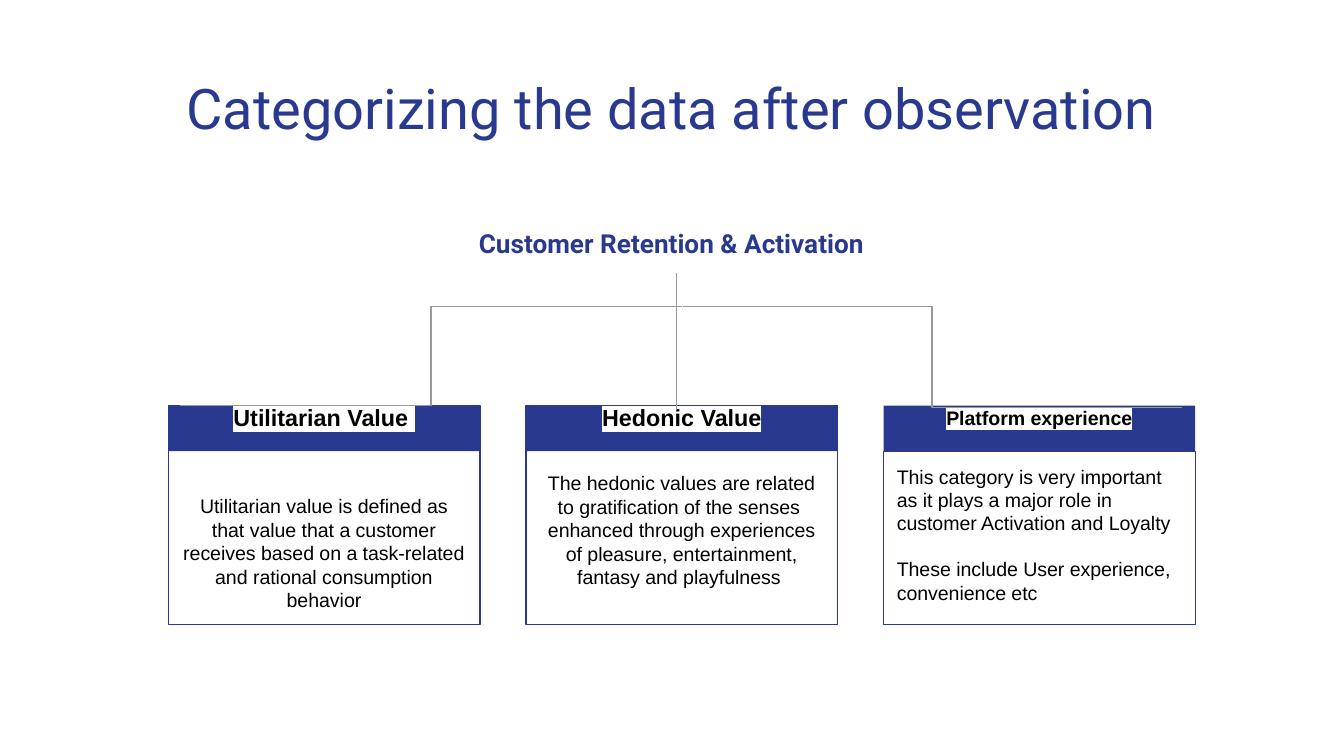
from dataclasses import dataclass

from lxml import etree
from pptx import Presentation
from pptx import util as u
from pptx.dml.color import RGBColor
from pptx.enum import shapes, text
from pptx.oxml.ns import qn


@dataclass(frozen=True)
class Theme:
    blue: str = "2A3990"
    black: str = "000000"
    white: str = "FFFFFF"
    grey: str = "999999"
    heading_font: str = "Roboto"
    body_font: str = "Arial"
    title_size: float = 30
    topic_size: float = 14
    header_size: float = 12.5
    body_size: float = 10.5
    line_width: float = 0.75
    inset: float = 0.25


class SlideBuilder:
    def __init__(self, slide, theme):
        self.slide = slide
        self.theme = theme

    def set_text(self, shape, lines, size, font, color, bold=False,
                 align=text.PP_ALIGN.CENTER, anchor=text.MSO_ANCHOR.TOP,
                 top_inset=None, bottom_inset=None, gap=0, highlight=False):
        frame = shape.text_frame
        frame.word_wrap = True
        frame.auto_size = text.MSO_AUTO_SIZE.NONE
        frame.vertical_anchor = anchor
        inset = self.theme.inset
        frame.margin_left = frame.margin_right = u.Cm(inset)
        frame.margin_top = u.Cm(inset if top_inset is None else top_inset)
        frame.margin_bottom = u.Cm(inset if bottom_inset is None else bottom_inset)
        for index, line in enumerate(lines):
            paragraph = frame.add_paragraph() if index else frame.paragraphs[0]
            run = paragraph.add_run()
            run.text = line
            paragraph.alignment = align
            paragraph.space_before = u.Pt(gap if index else 0)
            paragraph.font.name = font
            paragraph.font.size = u.Pt(size)
            paragraph.font.bold = bold
            paragraph.font.color.rgb = RGBColor.from_string(color)
            if highlight:
                mark = etree.SubElement(run._r.get_or_add_rPr(), qn("a:highlight"))
                etree.SubElement(mark, qn("a:srgbClr"), val=self.theme.white)

    def place(self, shape, left, top, width, height):
        shape.left, shape.top = u.Cm(left), u.Cm(top)
        shape.width, shape.height = u.Cm(width), u.Cm(height)

    def title(self, line, *box):
        shape = self.slide.shapes.title
        self.place(shape, *box)
        self.set_text(shape, [line], self.theme.title_size,
                      self.theme.heading_font, self.theme.blue)

    def rectangle(self, *box, filled=False):
        shape = self.slide.shapes.add_shape(
            shapes.MSO_SHAPE.RECTANGLE, *(u.Cm(length) for length in box))
        shape.shadow.inherit = False
        blue = RGBColor.from_string(self.theme.blue)
        if filled:
            shape.fill.solid()
            shape.fill.fore_color.rgb = blue
            shape.line.fill.background()
        else:
            shape.fill.background()
            shape.line.color.rgb = blue
            shape.line.width = u.Pt(self.theme.line_width)
        return shape

    def card(self, lines, *box, **style):
        self.set_text(self.rectangle(*box), lines, self.theme.body_size,
                      self.theme.body_font, self.theme.black, highlight=True, **style)

    def header(self, placeholder, line, size, *box):
        self.place(placeholder, *box)
        # Uneven insets raise the heading to the top edge of its bar
        self.set_text(placeholder, [line], size, self.theme.body_font,
                      self.theme.black, bold=True, highlight=True,
                      anchor=text.MSO_ANCHOR.MIDDLE, top_inset=0, bottom_inset=0.38)
        properties = placeholder.text_frame.paragraphs[0]._p.get_or_add_pPr()
        properties.set("marL", "0")
        properties.set("indent", "0")
        properties.find(qn("a:defRPr")).addprevious(etree.Element(qn("a:buNone")))
        # Bring the heading in front of its bar
        self.slide.shapes.element.append(placeholder.element)

    def connector(self, group, kind, *ends):
        line = group.shapes.add_connector(kind, *(u.Cm(length) for length in ends))
        line.line.color.rgb = RGBColor.from_string(self.theme.grey)
        line.line.width = u.Pt(self.theme.line_width)
        etree.SubElement(line.element.spPr, qn("a:effectLst"))

    def topic(self, line, *box):
        shape = self.slide.shapes.add_textbox(*(u.Cm(length) for length in box))
        self.set_text(shape, [line], self.theme.topic_size,
                      self.theme.heading_font, self.theme.blue, bold=True)


def main():
    theme = Theme()
    presentation = Presentation()
    presentation.slide_width, presentation.slide_height = u.Cm(25.4), u.Cm(14.29)
    slide = presentation.slides.add_slide(presentation.slide_layouts[4])
    builder = SlideBuilder(slide, theme)

    builder.title("Categorizing the data after observation", 0.86, 1.14, 23.67, 1.68)

    # Keep one body placeholder per category
    *headings, spare = list(slide.placeholders)[1:]
    spare.element.getparent().remove(spare.element)

    # Category cards: heading, heading size, text, offset below top, text style
    bottom = text.MSO_ANCHOR.BOTTOM
    categories = [
        ("Utilitarian Value ", theme.header_size,
         ["Utilitarian value is defined as that value that a customer receives "
          "based on a task-related and rational consumption behavior"],
         0, {"anchor": bottom}),
        ("Hedonic Value", theme.header_size,
         ["The hedonic values are related to gratification of the senses ",
          "enhanced through experiences of pleasure, entertainment, "
          "fantasy and playfulness "],
         0, {"anchor": bottom, "bottom_inset": 0.68}),
        ("Platform experience", theme.body_size,
         ["This category is very important as it plays a major role in "
          "customer Activation and Loyalty",
          "These include User experience, convenience etc"],
         0.86, {"align": text.PP_ALIGN.LEFT, "gap": 12}),
    ]
    first_left, top, width, height, bar_height, pitch = 3.18, 7.67, 5.89, 4.14, 0.86, 6.76
    for column, (heading, size, lines, offset, style) in enumerate(categories):
        left = first_left + column * pitch
        builder.card(lines, left, top + offset, width, height - offset, **style)
        builder.rectangle(left, top, width, bar_height, filled=True)
        builder.header(headings[column], heading, size, left, 7.82, width, 0.53)

    # Tree from the topic to the categories
    tree = slide.shapes.add_group_shape()
    straight, elbow = shapes.MSO_CONNECTOR.STRAIGHT, shapes.MSO_CONNECTOR.ELBOW
    builder.connector(tree, straight, 12.78, 5.16, 12.78, 7.75)
    builder.connector(tree, elbow, 12.9, 5.79, 22.33, 7.7)
    builder.connector(tree, elbow, 12.9, 5.79, 3.4, 7.67)
    builder.topic("Customer Retention & Activation", 7.52, 4.04, 10.34, 1.12)

    presentation.save("out.pptx")


if __name__ == "__main__":
    main()
